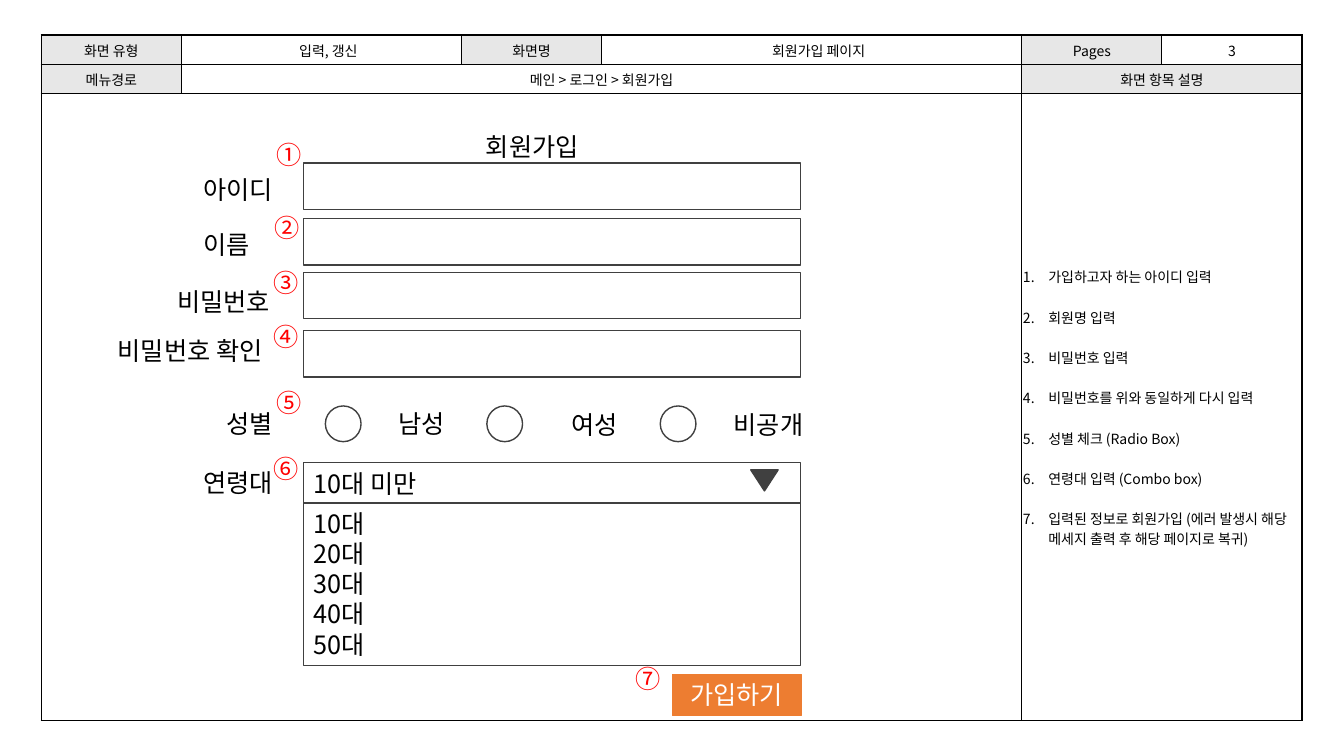
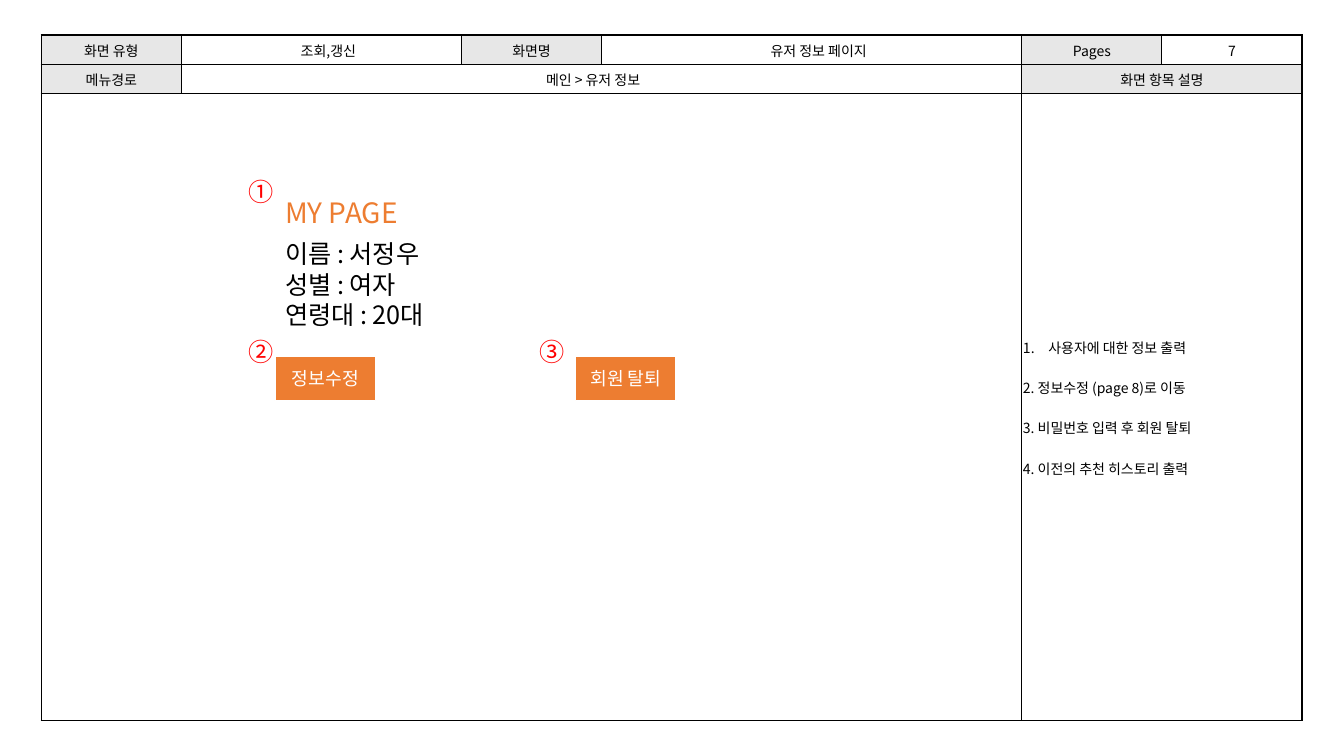
"""Build two screen-specification slides sharing one table frame."""
from dataclasses import dataclass
from typing import Optional

from lxml import etree
from pptx import Presentation
from pptx import util as u
from pptx.dml import color
from pptx.enum import shapes, text
from pptx.oxml import ns

FONT = "Noto Sans CJK KR"
COLORS = {
    "black": "000000", "white": "FFFFFF", "header": "E7E7E7",
    "outline": "404040", "accent": "ED7D31", "marker": "FF0000",
}
UNIT = 3.53
COLUMN_UNITS = (1, 2, 1, 3, 1, 1)
ROW_HEIGHTS = (0.74, 0.74, 15.8)
LEFT = text.PP_ALIGN.LEFT
CENTER = text.PP_ALIGN.CENTER
TOP = text.MSO_ANCHOR.TOP
MIDDLE = text.MSO_ANCHOR.MIDDLE
RECTANGLE = shapes.MSO_SHAPE.RECTANGLE


@dataclass(frozen=True)
class Area:
    left: float
    top: float
    width: float
    height: float = 1.02

    def lengths(self) -> tuple:
        return tuple(u.Cm(v) for v in (self.left, self.top, self.width, self.height))


@dataclass(frozen=True)
class Style:
    size: float = 18
    color: str = "black"
    align: int = LEFT
    leading: float = 1.2
    gap: float = 0


@dataclass(frozen=True)
class Label:
    words: str
    area: Area
    style: Style = Style()


@dataclass(frozen=True)
class Box:
    area: Area
    kind: int = RECTANGLE
    fill: Optional[str] = None
    line: str = "outline"
    weight: float = 1
    rotation: float = 0
    words: str = ""
    style: Style = Style()


@dataclass(frozen=True)
class Screen:
    kind: str
    name: str
    page: str
    route: str
    route_margin: float
    numbered: tuple
    typed: tuple
    title: Label
    body: tuple
    body_area: Area
    body_outlined: bool
    boxes: tuple
    labels: tuple


CELL = Style(10, align=CENTER, leading=1.44)
NOTE = Style(10, leading=1.44, gap=14.4)
BUTTON = Style(18, "white", CENTER)
SMALL_BUTTON = Style(13, "white", CENTER)
MARKER = Style(18, "marker")


def rgb(name: str) -> color.RGBColor:
    return color.RGBColor.from_string(COLORS[name])


def add_child(parent, tag: str, **attributes: str):
    return etree.SubElement(parent, ns.qn(tag), attributes)


def write(frame, lines: tuple, style: Style) -> None:
    for index, line in enumerate(lines):
        paragraph = frame.add_paragraph() if index else frame.paragraphs[0]
        paragraph.alignment = style.align
        paragraph.line_spacing = u.Pt(style.size * style.leading)
        paragraph.space_before = u.Pt(style.gap if index else 0)
        run = paragraph.add_run()
        run.text = line
        run.font.size = u.Pt(style.size)
        run.font.color.rgb = rgb(style.color)
        run.font.name = FONT
        add_child(run._r.get_or_add_rPr(), "a:ea", typeface=FONT)


def set_bullet(paragraph, tag: str, indent: float, **attributes: str) -> None:
    properties = paragraph._p.get_or_add_pPr()
    properties.set("marL", str(u.Cm(indent)))
    properties.set("indent", str(-u.Cm(indent)))
    add_child(properties, tag, **attributes)


def set_borders(cell) -> None:
    properties = cell._tc.get_or_add_tcPr()
    for index, side in enumerate(("a:lnL", "a:lnR", "a:lnT", "a:lnB")):
        line = add_child(properties, side, w=str(u.Pt(1)))
        fill = add_child(line, "a:solidFill")
        add_child(fill, "a:srgbClr", val=COLORS["black"])
        properties.insert(index, line)


def add_frame(slide, screen: Screen) -> None:
    area = Area(1.04, 0.88, UNIT * sum(COLUMN_UNITS), sum(ROW_HEIGHTS))
    graphic = slide.shapes.add_table(
        len(ROW_HEIGHTS), len(COLUMN_UNITS), *area.lengths())
    table = graphic.table
    table.first_row = table.horz_banding = False
    for column, units in zip(table.columns, COLUMN_UNITS):
        column.width = u.Cm(UNIT * units)
    for row, height in zip(table.rows, ROW_HEIGHTS):
        row.height = u.Cm(height)
    for start, end in (((1, 1), (1, 3)), ((1, 4), (1, 5)),
                       ((2, 0), (2, 3)), ((2, 4), (2, 5))):
        table.cell(*start).merge(table.cell(*end))
    headers = {(0, 0): "화면 유형", (0, 2): "화면명", (0, 4): "Pages",
               (1, 0): "메뉴경로", (1, 4): "화면 항목 설명"}
    values = {(0, 1): screen.kind, (0, 3): screen.name,
              (0, 5): screen.page, (1, 1): screen.route}
    for row in range(len(ROW_HEIGHTS)):
        for column in range(len(COLUMN_UNITS)):
            cell = table.cell(row, column)
            cell.margin_left = cell.margin_right = cell.margin_top = u.Cm(0.03)
            cell.margin_bottom = 0
            cell.vertical_anchor = MIDDLE
            cell.fill.solid()
            cell.fill.fore_color.rgb = rgb(
                "header" if (row, column) in headers else "white")
            set_borders(cell)
    for position, words in {**headers, **values}.items():
        write(table.cell(*position).text_frame, (words,), CELL)
    for column in (1, 3):
        table.cell(0, column).margin_left = u.Cm(0.38)
    table.cell(1, 1).margin_right = u.Cm(screen.route_margin)
    notes = table.cell(2, 4).text_frame
    write(notes, screen.numbered + screen.typed, NOTE)
    for paragraph in notes.paragraphs[:len(screen.numbered)]:
        set_bullet(paragraph, "a:buAutoNum", 0.64, type="arabicPeriod")


def place(placeholder, area: Area, lines: tuple, style: Style) -> None:
    placeholder.element.getparent().append(placeholder.element)
    (placeholder.left, placeholder.top,
     placeholder.width, placeholder.height) = area.lengths()
    frame = placeholder.text_frame
    frame.word_wrap = True
    frame.auto_size = text.MSO_AUTO_SIZE.NONE
    frame.vertical_anchor = TOP
    write(frame, lines, style)
    for paragraph in frame.paragraphs:
        set_bullet(paragraph, "a:buNone", 0)


def add_box(slide, box: Box) -> None:
    shape = slide.shapes.add_shape(box.kind, *box.area.lengths())
    shape.shadow.inherit = False
    shape.rotation = box.rotation
    if box.fill:
        shape.fill.solid()
        shape.fill.fore_color.rgb = rgb(box.fill)
    else:
        shape.fill.background()
    shape.line.color.rgb = rgb(box.line)
    shape.line.width = u.Pt(box.weight)
    if box.words:
        shape.text_frame.vertical_anchor = MIDDLE
        write(shape.text_frame, (box.words,), box.style)


def add_label(slide, label: Label) -> None:
    frame = slide.shapes.add_textbox(*label.area.lengths()).text_frame
    frame.word_wrap = False
    write(frame, (label.words,), label.style)


def marker(words: str, left: float, top: float) -> Label:
    return Label(words, Area(left, top, 1.14), MARKER)


def add_screen(presentation, screen: Screen) -> None:
    slide = presentation.slides.add_slide(presentation.slide_layouts[1])
    add_frame(slide, screen)
    title = screen.title
    place(slide.shapes.title, title.area, (title.words,), title.style)
    body = slide.placeholders[1]
    place(body, screen.body_area, screen.body, Style())
    if screen.body_outlined:
        body.line.color.rgb = rgb("outline")
        body.line.width = u.Pt(0.75)
    for box in screen.boxes:
        add_box(slide, box)
    for label in screen.labels:
        add_label(slide, label)


SIGN_UP = Screen(
    kind="입력, 갱신", name="회원가입 페이지", page="3",
    route="메인 > 로그인 > 회원가입", route_margin=0.03,
    numbered=(
        "가입하고자 하는 아이디 입력", "회원명 입력", "비밀번호 입력",
        "비밀번호를 위와 동일하게 다시 입력", "성별 체크 (Radio Box)",
        "연령대 입력 (Combo box)",
        "입력된 정보로 회원가입 (에러 발생시 해당 메세지 출력 후 해당 페이지로 복귀)"),
    typed=(),
    title=Label("회원가입", Area(11.99, 3.18, 3.07)),
    body=tuple(f"{age}대" for age in range(10, 60, 10)),
    body_area=Area(7.65, 12.67, 12.52, 4.11), body_outlined=True,
    boxes=(
        *(Box(Area(7.65, top, 12.52, 1.17)) for top in (4.11, 5.51, 6.86, 8.33)),
        *(Box(Area(left, 10.23, 0.9, 0.9), shapes.MSO_SHAPE.OVAL)
          for left in (8.2, 12.27, 16.64)),
        Box(Area(7.65, 11.66, 12.52), weight=0.75, words="10대 미만"),
        Box(Area(18.92, 11.84, 0.69, 0.53), shapes.MSO_SHAPE.ISOSCELES_TRIANGLE,
            "outline", rotation=180),
        Box(Area(16.94, 16.99, 3.25, 1.04), fill="accent", line="accent",
            weight=0.75, words="가입하기", style=BUTTON)),
    labels=(
        Label("아이디", Area(4.88, 4.27, 2.44)),
        Label("이름", Area(4.88, 5.66, 1.8)),
        Label("비밀번호", Area(4.22, 7.09, 3.07)),
        Label("비밀번호 확인", Area(2.72, 8.33, 4.6)),
        Label("성별", Area(5.46, 10.16, 1.8)),
        Label("남성", Area(9.8, 10.16, 1.8)),
        Label("여성", Area(14.15, 10.19, 1.8)),
        Label("비공개", Area(18.24, 10.19, 2.44)),
        Label("연령대", Area(4.88, 11.66, 2.44)),
        marker("①", 6.73, 3.38), marker("②", 6.68, 5.23),
        marker("③", 6.65, 6.6), marker("④", 6.65, 7.98),
        marker("⑤", 6.73, 9.63), marker("⑥", 6.65, 11.3),
        marker("⑦", 15.77, 16.59)))

MY_PAGE = Screen(
    kind="조회,갱신", name="유저 정보 페이지", page="7",
    route="메인 > 유저 정보", route_margin=0.46,
    numbered=("사용자에 대한 정보 출력",),
    typed=("2. 정보수정 (page 8)로 이동", "3. 비밀번호 입력 후 회원 탈퇴",
           "4. 이전의 추천 히스토리 출력"),
    title=Label("MY PAGE", Area(6.93, 4.8, 3.6, 1.12), Style(20, "accent")),
    body=("이름 : 서정우", "성별 : 여자", "연령대 : 20대"),
    body_area=Area(6.93, 5.89, 4.6, 2.57), body_outlined=False,
    boxes=tuple(
        Box(Area(left, 8.97, 2.54, 1.12), fill="accent", line="white",
            words=words, style=SMALL_BUTTON)
        for words, left in (("정보수정", 6.93), ("회원 탈퇴", 14.5))),
    labels=(marker("①", 6.02, 4.32), marker("②", 6.02, 8.36),
            marker("③", 13.34, 8.36)))


def main() -> None:
    presentation = Presentation()
    presentation.slide_width = u.Cm(33.87)
    presentation.slide_height = u.Cm(19.05)
    for screen in (SIGN_UP, MY_PAGE):
        add_screen(presentation, screen)
    presentation.save("out.pptx")


if __name__ == "__main__":
    main()
